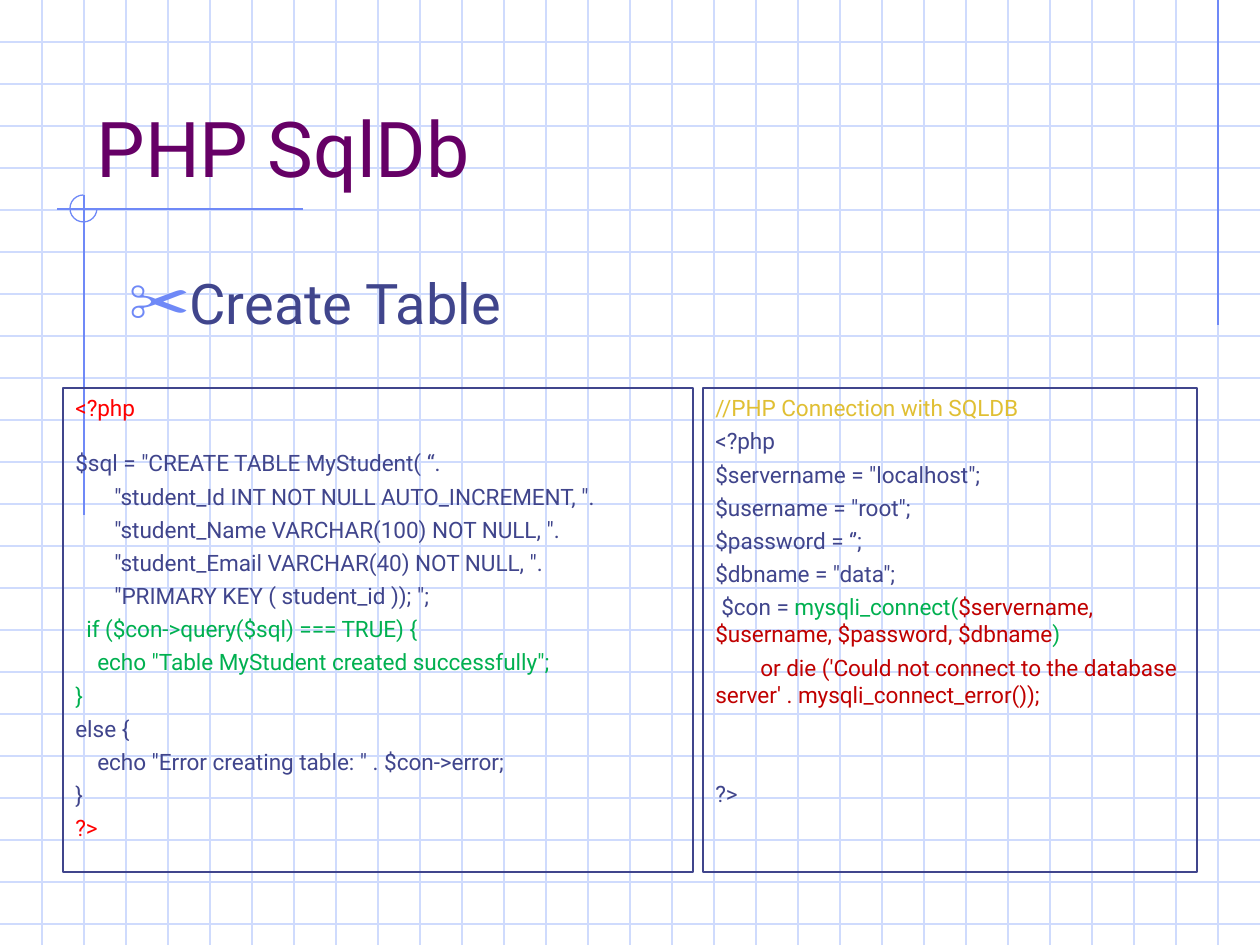
from dataclasses import dataclass

import lxml.etree
import pptx
import pptx.dml.color
import pptx.enum.shapes
import pptx.enum.text
import pptx.oxml.ns
import pptx.util

RGB = pptx.dml.color.RGBColor
SHAPE = pptx.enum.shapes.MSO_SHAPE
ANCHOR = pptx.enum.text.MSO_ANCHOR
ALIGN = pptx.enum.text.PP_ALIGN
qn = pptx.oxml.ns.qn

GRID = RGB(0xCF, 0xDB, 0xFD)
ACCENT = RGB(0x6F, 0x89, 0xF7)
NAVY = RGB(0x40, 0x45, 0x8C)
PURPLE = RGB(0x66, 0x00, 0x66)
RED = RGB(0xFF, 0x00, 0x00)
DARK_RED = RGB(0xC0, 0x00, 0x00)
GREEN = RGB(0x00, 0xB0, 0x50)
GOLD = RGB(0xE0, 0xBF, 0x33)

PX_PER_INCH = 126
WIDTH, HEIGHT, STEP = 1260, 945, 42
FONT = "Roboto"
CODE_SIZE = 12.9
LINE_GAP = 3.5


@dataclass
class Rule:
    x1: int
    y1: int
    x2: int
    y2: int
    color: RGB


@dataclass
class CodeLine:
    runs: list[tuple[str, RGB]]
    indent: int = 0
    before: float = LINE_GAP


@dataclass
class CodeBox:
    left: int
    width: int
    lines: list[CodeLine]


def px(n: int) -> int:
    return round(n * pptx.util.Inches(1) / PX_PER_INCH)


def code(text: str, color: RGB = NAVY, indent: int = 0, before: float = LINE_GAP) -> CodeLine:
    return CodeLine([(text, color)], indent, before)


RULES = [
    *(Rule(0, y, WIDTH, y, GRID) for y in range(STEP, HEIGHT, STEP)),
    *(Rule(x, 0, x, HEIGHT, GRID) for x in range(STEP, WIDTH, STEP)),
    Rule(1218, 0, 1218, 325, ACCENT),
    Rule(303, 209, 57, 209, ACCENT),
    Rule(84, 195, 84, 515, ACCENT),
]

BOXES = [
    CodeBox(63, 630, [
        code("<?php", RED),
        code('$sql = "CREATE TABLE MyStudent( “.', before=16),
        code('"student_Id INT NOT NULL AUTO_INCREMENT, ".', indent=39),
        code('"student_Name VARCHAR(100) NOT NULL, ".', indent=39),
        code('"student_Email VARCHAR(40) NOT NULL, ".', indent=39),
        code('"PRIMARY KEY ( student_id )); ";', indent=39),
        code("if ($con->query($sql) === TRUE) {", GREEN, 11),
        code('echo "Table MyStudent created successfully";', GREEN, 22),
        code("}", GREEN),
        code("else {"),
        code('echo "Error creating table: " . $con->error;', indent=22),
        code("}"),
        code("?>", RED),
    ]),
    CodeBox(703, 494, [
        code("//PHP Connection with SQLDB", GOLD),
        code("<?php"),
        code('$servername = "localhost";'),
        code('$username = "root";'),
        code("$password = ‘’;"),
        code('$dbname = "data";'),
        CodeLine([
            ("$con = ", NAVY),
            ("mysqli_connect(", GREEN),
            ("$servername, $username, $password, $dbname", DARK_RED),
            (")", GREEN),
        ], indent=6),
        code("or die ('Could not connect to the database server' . mysqli_connect_error());",
             DARK_RED, 45),
        code("?>", before=41.5),
    ]),
]


def set_all(target, **values) -> None:
    for name, value in values.items():
        setattr(target, name, value)


def add_run(p, text: str, size: float, color: RGB) -> None:
    r = p.add_run()
    r.text = text
    set_all(r.font, name=FONT, size=pptx.util.Pt(size))
    r.font.color.rgb = color


def set_line(sp, color: RGB) -> None:
    sp.line.color.rgb = color
    sp.line.width = pptx.util.Pt(0.75)


def add_rule(shapes, rule: Rule) -> None:
    c = shapes.add_connector(pptx.enum.shapes.MSO_CONNECTOR.STRAIGHT,
                             px(rule.x1), px(rule.y1), px(rule.x2), px(rule.y2))
    set_line(c, rule.color)
    lxml.etree.SubElement(c.element.spPr, qn("a:effectLst"))


def add_outline(shapes, kind, left: int, top: int, width: int, height: int, color: RGB):
    sp = shapes.add_shape(kind, px(left), px(top), px(width), px(height))
    sp.shadow.inherit = False
    sp.fill.background()
    set_line(sp, color)
    return sp


def add_code_box(shapes, box: CodeBox) -> None:
    sp = add_outline(shapes, SHAPE.RECTANGLE, box.left, 388, box.width, 484, NAVY)
    tf = sp.text_frame
    set_all(tf, word_wrap=True, vertical_anchor=ANCHOR.TOP)
    for i, line in enumerate(box.lines):
        p = tf.add_paragraph() if i else tf.paragraphs[0]
        set_all(p, alignment=ALIGN.LEFT, space_before=pptx.util.Pt(line.before))
        p._p.get_or_add_pPr().set("indent", str(px(line.indent)))
        for text, color in line.runs:
            add_run(p, text, CODE_SIZE, color)


def fill_placeholder(sp, top: int, height: int, anchor, text: str, size: int, color: RGB):
    """Place, fill and bring forward a placeholder; return its paragraph."""
    set_all(sp, left=px(84 if anchor == ANCHOR.BOTTOM else 116), top=px(top),
            width=px(1071), height=px(height))
    set_all(sp.text_frame, word_wrap=True, vertical_anchor=anchor,
            auto_size=pptx.enum.text.MSO_AUTO_SIZE.NONE)
    p = sp.text_frame.paragraphs[0]
    p.alignment = ALIGN.LEFT
    add_run(p, text, size, color)
    sp.element.getparent().append(sp.element)
    return p


def set_bullet(p, char: str, color: RGB, percent: int, indent: int) -> None:
    pPr = p._p.get_or_add_pPr()
    pPr.set("marL", str(px(indent)))
    pPr.set("indent", str(-px(indent)))
    bu_color = lxml.etree.SubElement(pPr, qn("a:buClr"))
    lxml.etree.SubElement(bu_color, qn("a:srgbClr"), val=str(color))
    lxml.etree.SubElement(pPr, qn("a:buSzPct"), val=str(percent * 1000))
    lxml.etree.SubElement(pPr, qn("a:buChar"), char=char)


def main() -> None:
    prs = pptx.Presentation()
    set_all(prs, slide_width=px(WIDTH), slide_height=px(HEIGHT))
    s = prs.slides.add_slide(prs.slide_layouts[1])
    title, body = s.placeholders

    backdrop = s.shapes.add_group_shape()
    for rule in RULES:
        add_rule(backdrop.shapes, rule)
    arc = add_outline(backdrop.shapes, SHAPE.ARC, 70, 195, 27, 27, ACCENT)
    arc.adjustments[0], arc.adjustments[1] = 0, 162  # 0 to 270 degrees

    fill_placeholder(title, 42, 157, ANCHOR.BOTTOM, "PHP SqlDb", 44, PURPLE)
    p = fill_placeholder(body, 262, 567, ANCHOR.TOP, "Create Table", 32, NAVY)
    p.space_before = pptx.util.Pt(8)
    set_bullet(p, "✂", ACCENT, 110, 48)

    for box in BOXES:
        add_code_box(s.shapes, box)
    prs.save("out.pptx")


if __name__ == "__main__":
    main()
